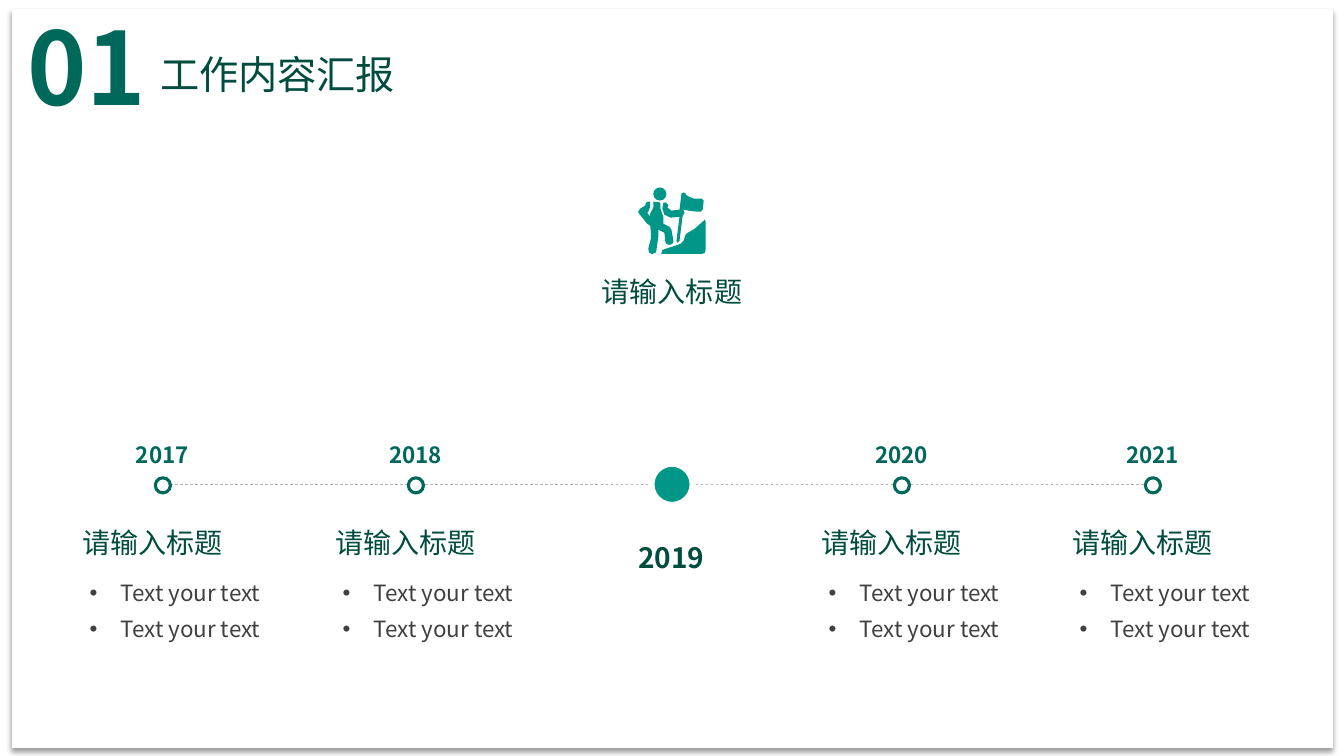
from dataclasses import dataclass

from lxml import etree
from pptx import Presentation
from pptx.dml.color import RGBColor
from pptx.enum import dml, shapes, text
from pptx.oxml import ns
from pptx import util as u

PX = 9144
FONT = "Noto Sans CJK SC"
WHITE, TEAL, GREEN, DARK, GREY = "FFFFFF", "009688", "00685B", "004C3F", "404040"
LINE_Y = 481
NODE = 15


@dataclass(frozen=True)
class Milestone:
    year: str
    x: int
    title: str = "请输入标题"
    items: tuple[str, ...] = ("Text your text", "Text your text")


MILESTONES = [
    Milestone("2017", 154),
    Milestone("2018", 405),
    Milestone("2020", 887),
    Milestone("2021", 1136),
]

ROCK = [
    (699, 218), (700, 220), (700, 248), (699, 251), (696, 252), (656, 252), (656, 251),
    (657, 248), (675, 242), (678, 239), (680, 233), (682, 231), (689, 227), (698, 219),
]
HIKER = [
    (643, 200), (645, 200), (645, 205), (643, 210), (642, 211), (645, 215), (645, 212),
    (648, 206), (648, 200), (655, 201), (655, 207), (658, 215), (658, 222), (664, 225),
    (666, 228), (668, 239), (667, 242), (664, 243), (661, 242), (660, 240), (659, 231),
    (653, 228), (653, 235), (651, 249), (650, 251), (647, 252), (644, 251), (643, 247),
    (646, 235), (645, 224), (642, 222), (634, 212), (633, 210), (635, 207), (640, 204),
    (641, 201),
]
FLAG = [
    (678, 191), (680, 192), (680, 193), (683, 195), (688, 197), (696, 197), (698, 199),
    (697, 208), (695, 210), (691, 210), (683, 209), (678, 208), (678, 209), (679, 211),
    (677, 215), (674, 239), (672, 241), (671, 239), (674, 215), (665, 216), (663, 215),
    (659, 213), (657, 207), (658, 201), (661, 201), (663, 204), (662, 206), (666, 209),
    (674, 208), (676, 192),
]


def px(*lengths: int) -> list[int]:
    return [n * PX for n in lengths]


def color(value: str) -> RGBColor:
    return RGBColor.from_string(value)


def style(sp, fill: str, line: str | None = None, width: float = 0):
    sp.shadow.inherit = False
    sp.fill.solid()
    sp.fill.fore_color.rgb = color(fill)
    if line:
        sp.line.color.rgb = color(line)
        sp.line.width = u.Pt(width)
    else:
        sp.line.fill.background()
    return sp


def add_oval(s, x: int, y: int, size: int, fill: str, line: str | None = None, width: float = 0):
    sp = s.shapes.add_shape(shapes.MSO_SHAPE.OVAL, *px(x, y, size, size))
    return style(sp, fill, line, width)


def add_bullet(p) -> None:
    pPr = p._p.get_or_add_pPr()
    pPr.set("marL", str(31 * PX))
    pPr.set("indent", str(-31 * PX))
    etree.SubElement(pPr, ns.qn("a:buFont"), typeface="Arial")
    etree.SubElement(pPr, ns.qn("a:buChar"), char="•")
    p.line_spacing = u.Pt(26)


def add_text(s, lines: tuple[str, ...], box: tuple[int, ...], *, size: int, fill: str,
             bold: bool = False, center: bool = False, middle: bool = False,
             bullets: bool = False):
    sp = s.shapes.add_textbox(*px(*box))
    tf = sp.text_frame
    tf.word_wrap = True
    if middle:
        tf.vertical_anchor = text.MSO_ANCHOR.MIDDLE
    else:
        tf.auto_size = text.MSO_AUTO_SIZE.SHAPE_TO_FIT_TEXT
    for i, line in enumerate(lines):
        p = tf.add_paragraph() if i else tf.paragraphs[0]
        if center:
            p.alignment = text.PP_ALIGN.CENTER
        if bullets:
            add_bullet(p)
        r = p.add_run()
        r.text = line
        r.font.size = u.Pt(size)
        r.font.bold = bold
        r.font.color.rgb = color(fill)
        r.font.name = FONT
        etree.SubElement(r._r.get_or_add_rPr(), ns.qn("a:ea"), typeface=FONT)
    return sp


def add_panel(s) -> None:
    sp = style(s.shapes.add_shape(shapes.MSO_SHAPE.RECTANGLE, *px(12, 9, 1310, 733)), WHITE)
    effects = sp._element.spPr.find(ns.qn("a:effectLst"))
    shadow = etree.SubElement(effects, ns.qn("a:outerShdw"), blurRad=str(u.Pt(4)),
                              dist=str(u.Pt(3)), dir="5400000", algn="t", rotWithShape="0")
    shade = etree.SubElement(shadow, ns.qn("a:srgbClr"), val="000000")
    etree.SubElement(shade, ns.qn("a:alpha"), val="40000")


def add_axis(s, start: int, end: int) -> None:
    cx = s.shapes.add_connector(shapes.MSO_CONNECTOR.STRAIGHT, *px(start, LINE_Y, end, LINE_Y))
    cx.line.color.rgb = color("B4B4B4")
    cx.line.width = u.Pt(0.5)
    cx.line.dash_style = dml.MSO_LINE.DASH
    etree.SubElement(cx._element.spPr, ns.qn("a:effectLst"))


def add_icon(s) -> None:
    fb = s.shapes.build_freeform(*ROCK[0], scale=PX)
    fb.add_line_segments(ROCK[1:])
    for outline in (HIKER, FLAG):
        fb.move_to(*outline[0])
        fb.add_line_segments(outline[1:])
    style(fb.convert_to_shape(), TEAL)
    add_oval(s, 648, 186, 13, TEAL)


def add_milestone(s, m: Milestone) -> None:
    add_oval(s, m.x, LINE_Y - NODE // 2, NODE, WHITE, GREEN, 2.25)
    add_text(s, (m.year,), (m.x - 58, 431, 130, 39), size=16, fill=GREEN, bold=True,
             center=True, middle=True)
    add_text(s, (m.title,), (m.x - 110, 516, 215, 44), size=20, fill=DARK, center=True)
    add_text(s, m.items, (m.x - 75, 560, 199, 81), size=16, fill=GREY, bullets=True)


def main() -> None:
    prs = Presentation()
    prs.slide_width, prs.slide_height = u.Inches(13.33), u.Inches(7.5)
    s = prs.slides.add_slide(prs.slide_layouts[6])
    add_panel(s)
    add_text(s, ("01",), (17, 0, 158, 131), size=72, fill=GREEN, bold=True)
    add_text(s, ("工作内容汇报",), (149, 45, 256, 57), size=28, fill=DARK)
    add_axis(s, MILESTONES[0].x + NODE, MILESTONES[-1].x)
    for m in MILESTONES:
        add_milestone(s, m)
    add_oval(s, 647, 461, 39, TEAL, WHITE, 3)
    add_text(s, ("2019",), (601, 533, 130, 39), size=20, fill=DARK, bold=True,
             center=True, middle=True)
    add_icon(s)
    add_text(s, ("请输入标题",), (559, 267, 215, 44), size=20, fill=DARK, center=True)
    prs.save("out.pptx")


if __name__ == "__main__":
    main()
